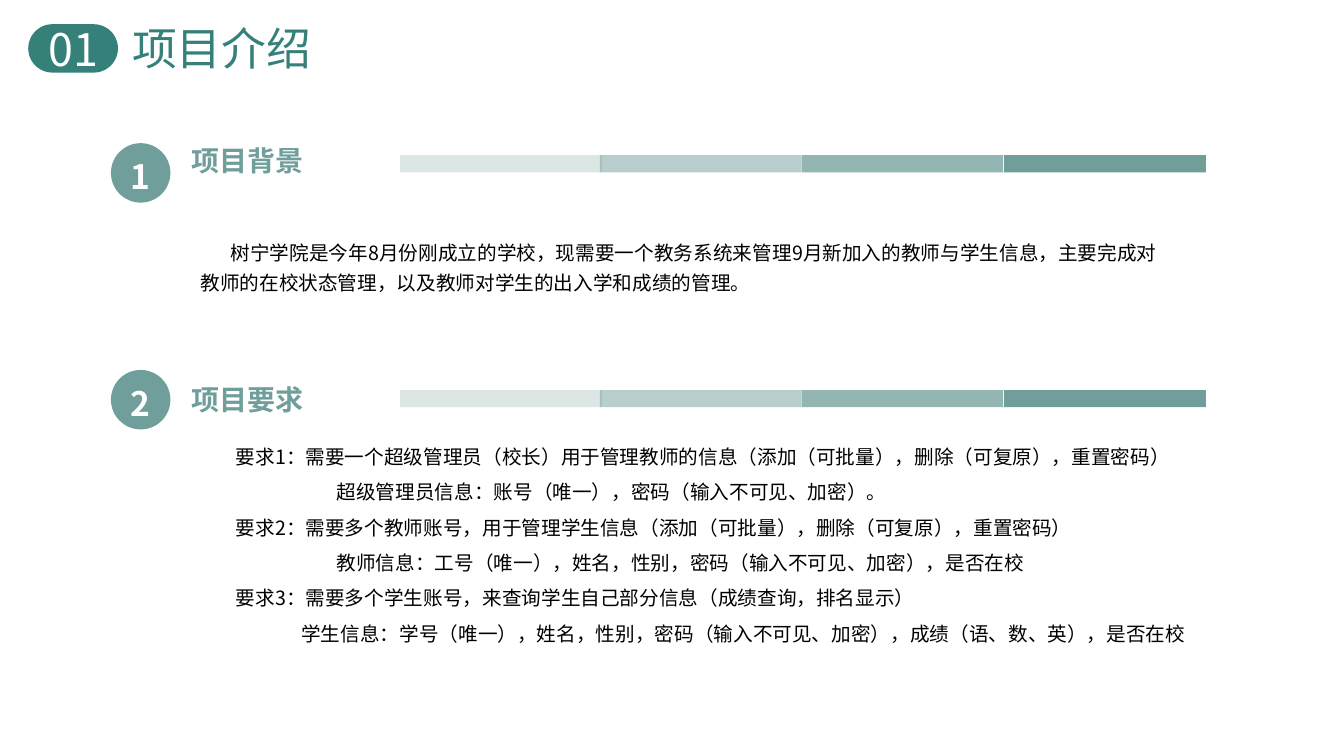
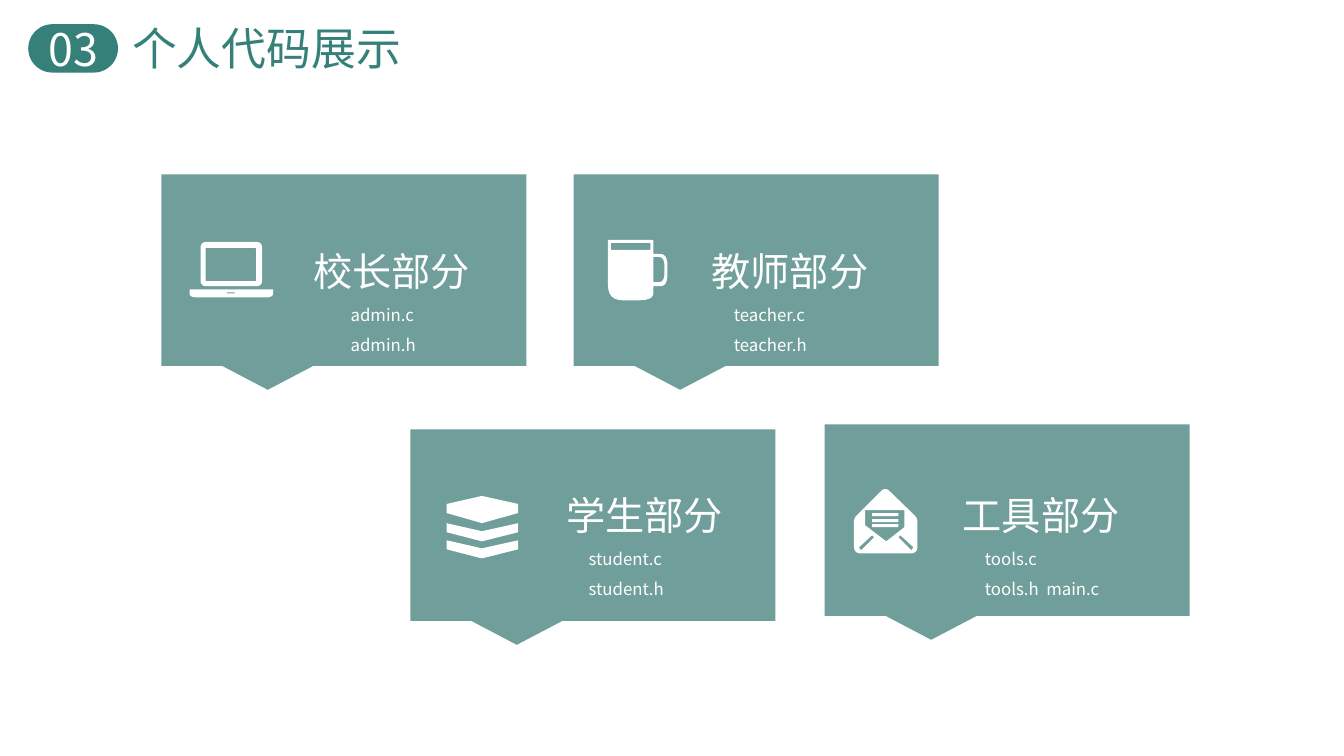
from lxml import etree
from pptx import Presentation
from pptx.dml.color import RGBColor
from pptx.enum.shapes import MSO_SHAPE
from pptx.enum.text import MSO_ANCHOR, MSO_AUTO_SIZE, PP_ALIGN
from pptx.oxml.ns import qn
from pptx.util import Pt

PX = 9144
FONT = "Noto Sans CJK SC"
DEEP = RGBColor(0x36, 0x80, 0x7A)
SAGE = RGBColor(0x70, 0x9E, 0x9A)
WHITE = RGBColor(0xFF, 0xFF, 0xFF)
BLACK = RGBColor(0x00, 0x00, 0x00)

OVAL = MSO_SHAPE.OVAL
PILL = MSO_SHAPE.ROUNDED_RECTANGLE
BAR = MSO_SHAPE.RECTANGLE
CALLOUT = MSO_SHAPE.RECTANGULAR_CALLOUT
TOP = MSO_ANCHOR.TOP
MIDDLE = MSO_ANCHOR.MIDDLE
CENTER = PP_ALIGN.CENTER
FIT_TEXT = MSO_AUTO_SIZE.SHAPE_TO_FIT_TEXT

STRIP_PARTS = ((397, 25), (595, 50), (795, 75), (996, 100))


def box(left, top, right, bottom, radius=0):
    return [(left, top, radius), (right, top, radius),
            (right, bottom, radius), (left, bottom, radius)]


def toward(corner, other, distance):
    dx, dy = other[0] - corner[0], other[1] - corner[1]
    length = (dx * dx + dy * dy) ** 0.5
    part = min(distance / length, 0.5)
    return corner[0] + dx * part, corner[1] + dy * part


def rounded(corners, steps=6):
    points = []
    for i, corner in enumerate(corners):
        radius = corner[2] if len(corner) > 2 else 0
        if not radius:
            points.append(corner[:2])
            continue
        start = toward(corner, corners[i - 1], radius)
        end = toward(corner, corners[(i + 1) % len(corners)], radius)
        for step in range(steps + 1):
            t = step / steps
            points.append(tuple(
                (1 - t) ** 2 * start[k] + 2 * t * (1 - t) * corner[k] + t * t * end[k]
                for k in (0, 1)))
    return [(round(x * PX), round(y * PX)) for x, y in points]


LAPTOP = [[
    [(188, 287), (271, 287), (271, 295, 7), (188, 295, 7)],
    box(199, 240, 260, 284, 6),
    box(204, 246, 254, 279, 1),
    box(225, 290, 233, 291),
]]
MUG = [[
    [(603, 238, 1), (648, 238, 1), (648, 252), (662, 252, 12), (662, 284, 12),
     (648, 284), (648, 298, 15), (603, 298, 15)],
    box(606, 241, 645, 248),
    [(648, 255), (659, 255, 9), (659, 280, 9), (648, 280)],
]]
STACK = [[[(443, 500), (478, 492), (514, 500), (514, 509), (478, 519), (443, 509)]]] + [
    [[(443, y), (478, y + 8), (514, y), (514, y + 9), (478, y + 18), (443, y + 9)]]
    for y in (519, 536)
]
ENVELOPE = [[
    [(847, 514, 4), (878, 483, 6), (910, 514, 4), (910, 549, 7), (847, 549, 7)],
    [(858, 506), (858, 521), (879, 537), (897, 523), (897, 506)],
    *(box(865, y, 891, y + 3) for y in (509, 515, 520)),
    [(854, 546), (867, 533), (865, 531), (852, 543)],
    [(906, 543), (893, 531), (891, 533), (904, 546)],
]]


class Deck:
    def __init__(self):
        self.presentation = Presentation()
        self.presentation.slide_width = 1333 * PX
        self.presentation.slide_height = 750 * PX
        self.slide = None

    def start(self, number, title):
        blank = self.presentation.slide_layouts[6]
        self.slide = self.presentation.slides.add_slide(blank)
        pill = self.shape(PILL, 28, 24, 89, 48, DEEP)
        pill.adjustments[0] = 0.5
        self.label(pill, number, 32, MIDDLE)
        self.text(111, 16, 348, 64, [(title, 0)], 32, DEEP, insets=(20, 5))

    def finish(self, shape, color):
        shape.shadow.inherit = False
        shape.fill.solid()
        shape.fill.fore_color.rgb = color
        shape.line.fill.background()
        return shape

    def shape(self, preset, left, top, width, height, color, opacity=100):
        shape = self.slide.shapes.add_shape(
            preset, left * PX, top * PX, width * PX, height * PX)
        self.finish(shape, color)
        if opacity < 100:
            tint = shape._element.spPr.find(".//" + qn("a:srgbClr"))
            etree.SubElement(tint, qn("a:alpha")).set("val", str(opacity * 1000))
        return shape

    def icon(self, pieces):
        for outlines in pieces:
            first, *others = [rounded(outline) for outline in outlines]
            builder = self.slide.shapes.build_freeform(*first[0], scale=1.0)
            builder.add_line_segments(first[1:], close=True)
            for points in others:
                builder.move_to(*points[0])
                builder.add_line_segments(points[1:], close=True)
            self.finish(builder.convert_to_shape(), WHITE)

    def run(self, paragraph, words, size, color, bold=False):
        run = paragraph.add_run()
        run.text = words
        run.font.size = Pt(size)
        run.font.bold = bold
        run.font.color.rgb = color
        run.font.name = FONT
        etree.SubElement(run._r.get_or_add_rPr(), qn("a:ea")).set("typeface", FONT)

    def insets(self, frame, across, down):
        frame.margin_left = frame.margin_right = across * PX
        frame.margin_top = frame.margin_bottom = down * PX

    def label(self, shape, words, size, anchor, bold=False, insets=(0, 0)):
        frame = shape.text_frame
        self.insets(frame, *insets)
        frame.vertical_anchor = anchor
        frame.paragraphs[0].alignment = CENTER
        self.run(frame.paragraphs[0], words, size, WHITE, bold)

    def text(self, left, top, width, height, lines, size, color, bold=False,
             spacing=None, insets=(10, 5), first_line=0, lead_size=None):
        frame = self.slide.shapes.add_textbox(
            left * PX, top * PX, width * PX, height * PX).text_frame
        frame.word_wrap = True
        frame.auto_size = FIT_TEXT
        self.insets(frame, *insets)
        for i, (words, indent) in enumerate(lines):
            paragraph = frame.add_paragraph() if i else frame.paragraphs[0]
            paragraph.line_spacing = spacing
            properties = paragraph._p.get_or_add_pPr()
            properties.set("marL", str(indent * PX))
            properties.set("indent", str(first_line * PX))
            line_size = lead_size if lead_size and i == 0 else size
            self.run(paragraph, words, line_size, color, bold)

    def section(self, number, heading, heading_top, badge_top, strip_top):
        self.text(177, heading_top, 447, 41, [(heading, 0)], 20, SAGE,
                  bold=True, insets=(13, 4))
        badge = self.shape(OVAL, 110, badge_top, 59, 59, SAGE)
        self.label(badge, number, 24, TOP, bold=True, insets=(7, 4))
        for left, opacity in STRIP_PARTS:
            self.shape(BAR, left, strip_top, 200, 17, SAGE, opacity)

    def card(self, left, top, text_left, text_top, text_width, heading, files, indent, icon):
        self.shape(CALLOUT, left, top, 362, 190, SAGE)
        lines = [(heading, 0)] + [(name, indent) for name in files]
        self.text(text_left, text_top, text_width, 128, lines, 12, WHITE,
                  spacing=1.5, insets=(10, 0), lead_size=28)
        self.icon(icon)


def main():
    deck = Deck()

    deck.start("01", "项目介绍")
    deck.section("1", "项目背景", 138, 142, 154)
    deck.section("2", "项目要求", 375, 367, 387)
    background = (
        "树宁学院是今年8月份刚成立的学校，现需要一个教务系统来管理9月新加入的教师与学生信息，"
        "主要完成对教师的在校状态管理，以及教师对学生的出入学和成绩的管理。")
    deck.text(189, 227, 984, 68, [(background, 0)], 14, BLACK, spacing=1.3, first_line=30)
    requirements = [
        ("要求1：需要一个超级管理员（校长）用于管理教师的信息（添加（可批量），删除（可复原），重置密码）", 35),
        ("超级管理员信息：账号（唯一），密码（输入不可见、加密）。", 135),
        ("要求2：需要多个教师账号，用于管理学生信息（添加（可批量），删除（可复原），重置密码）", 35),
        ("教师信息：工号（唯一），姓名，性别，密码（输入不可见、加密），是否在校", 135),
        ("要求3：需要多个学生账号，来查询学生自己部分信息（成绩查询，排名显示）", 35),
        ("学生信息：学号（唯一），姓名，性别，密码（输入不可见、加密），成绩（语、数、英），是否在校", 100),
    ]
    deck.text(189, 425, 1015, 218, requirements, 14, BLACK, spacing=1.5)

    deck.start("03", "个人代码展示")
    cards = [
        (160, 173, 301, 222, 210, "校长部分", ("admin.c", "admin.h"), 37, LAPTOP),
        (569, 173, 696, 222, 202, "教师部分", ("teacher.c", "teacher.h"), 22, MUG),
        (407, 426, 552, 464, 180, "学生部分", ("student.c", "student.h"), 22, STACK),
        (818, 421, 945, 464, 212, "工具部分", ("tools.c", "tools.h  main.c"), 22, ENVELOPE),
    ]
    for card in cards:
        deck.card(*card)

    deck.presentation.save("out.pptx")


if __name__ == "__main__":
    main()
